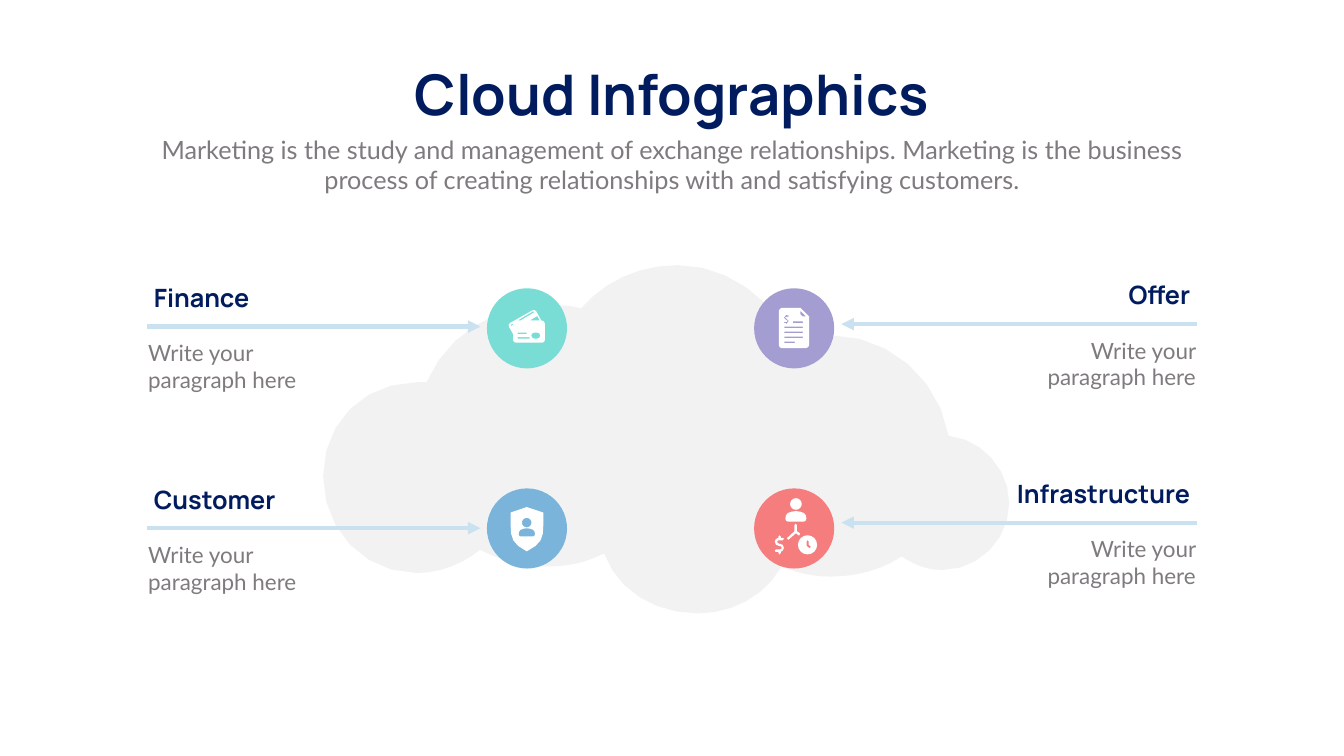
import dataclasses
import math

import pptx
import pptx.dml.color
import pptx.enum.shapes
import pptx.enum.text
import pptx.oxml
import pptx.oxml.ns
import pptx.util

ALIGN = pptx.enum.text.PP_ALIGN
THEME = {
    "title": {"name": "Manrope", "size": pptx.util.Pt(80), "bold": True, "color": "001C5E"},
    "subtitle": {"name": "Lato", "size": pptx.util.Pt(36), "color": "7F7A7E"},
    "heading": {"name": "Manrope", "size": pptx.util.Pt(36), "bold": True, "color": "001C5E"},
    "body": {"name": "Lato", "size": pptx.util.Pt(32), "color": "7F7A7E"},
    "cloud": "F2F2F2",
    "arrow": "CAE1F0",
    "icon": "FFFFFF",
}
SLIDE_WIDTH, SLIDE_HEIGHT = pptx.util.Inches(26.66), pptx.util.Inches(15)
COLUMN, ROW = SLIDE_WIDTH / 100, SLIDE_HEIGHT / 100
HEADING_ROWS, BODY_ROWS, ARROW_ROW, BODY_ROW = 4.73, 7.87, 6.2, 7.53
BODY_COLUMNS, HEADING_INSET, BODY_INSET = 12.94, 0.13, -0.3
DISC_COLUMNS, DISC_ROWS = 5.96, 10.6
DISC_GRID = (159, 159)
CLOUD_GRID = (1360, 690)

CLOUD = (
    "M 1240 338 C 1221 225 1121 139 1008 139 C 975 139 949 146 929 152 C 889 66 802 0 703 0 "
    "C 624 0 557 33 511 86 C 491 79 464 79 444 79 C 338 79 245 139 205 232 L 186 232 "
    "C 80 232 0 312 0 418 C 0 524 80 610 186 610 C 232 610 278 591 311 564 "
    "C 352 584 391 597 444 597 C 484 597 517 591 557 571 C 583 644 657 690 743 690 "
    "C 809 690 875 657 909 597 C 942 610 968 617 1008 617 C 1055 617 1107 604 1147 577 "
    "C 1168 591 1194 604 1227 604 C 1300 604 1360 544 1360 471 C 1360 405 1307 345 1240 338"
)
CARDS = (
    "M 108 64 L 98 46 C 96 43 93 42 90 44 L 46 69 C 43 71 42 74 44 77 L 52 91 L 52 103 "
    "C 52 106 55 108 58 108 L 109 108 C 112 108 115 106 115 103 L 115 70 C 115 66 112 64 108 64"
)
CARD_GAPS = (
    "M 52 70 L 52 72 L 47 76 L 48 72",
    "M 100 55 L 105 64 L 85 64",
    "M 91 46 L 95 47 L 67 64 L 61 64",
)
CARD_CHIP = (
    "M 94 88 C 91 88 88 90 88 94 C 88 97 91 100 94 100 L 100 100 "
    "C 103 100 106 97 106 94 C 106 90 103 88 100 88"
)
SHIELD = "M 112 48 L 79 37 L 47 48 L 47 72 C 47 100 51 110 79 125 C 108 110 112 100 112 72"
SHOULDERS = (
    "M 99 66 C 101 66 104 63 104 60 C 104 55 102 51 99 49 C 95 47 89 45 83 45 "
    "C 76 45 71 47 67 49 C 64 51 62 55 62 60 C 62 63 64 66 67 66"
)
PAGE = (
    "M 109 56 L 92 39 L 55 39 C 52 39 49 42 49 46 L 49 113 C 49 116 52 119 55 119 "
    "L 102 119 C 106 119 109 116 109 113"
)
PAGE_FOLD = "M 96 56 L 92 52 L 92 45 L 103 56"
FORK = (
    "M 90 93 L 91 89 L 85 85 L 85 73 C 85 69 80 69 80 73 "
    "L 80 85 L 65 99 L 68 102 L 83 89 L 88 93"
)
DOLLAR = (
    "M 49 103 L 57 103 L 59 100 L 57 98 L 53 98 L 53 96 C 53 92 48 92 48 96 L 48 98 "
    "C 44 99 41 102 41 106 C 41 111 45 114 49 114 C 53 114 55 116 55 118 "
    "C 55 120 53 121 51 121 L 43 121 L 41 124 L 43 126 L 48 126 L 48 128 "
    "C 48 132 53 132 53 128 L 53 126 C 56 125 59 122 59 118 C 59 113 56 110 51 110 "
    "C 47 110 46 108 46 106 C 46 104 47 103 49 103"
)
CLOCK_HANDS = "M 110 119 L 104 114 L 104 105 C 104 102 108 102 108 105 L 108 111 L 113 116"


@dataclasses.dataclass
class Box:
    """An area of the slide in columns and rows."""

    left: float
    top: float
    width: float
    height: float

    def emu(self):
        """Return left, top, width and height in EMU."""
        return [round(length * unit) for length, unit in zip(
            (self.left, self.top, self.width, self.height), (COLUMN, ROW, COLUMN, ROW))]


def outline(path, steps=2, scale=1, left=0, top=0):
    """Turn a path of moves, lines and cubic curves into points."""
    points = []
    for command in path.replace("M", "|").replace("L", "|").replace("C", "|").split("|")[1:]:
        values = [float(value) for value in command.split()]
        ends = list(zip(values[::2], values[1::2]))
        if len(ends) == 1:
            points += ends
            continue
        controls = [points[-1]] + ends
        for step in range(1, steps + 1):
            t = step / steps
            weights = [math.comb(3, i) * t ** i * (1 - t) ** (3 - i) for i in range(4)]
            points.append(tuple(sum(weight * control[axis] for weight, control
                                    in zip(weights, controls)) for axis in (0, 1)))
    return [(x * scale + left, y * scale + top) for x, y in points]


def circle(x, y, radius):
    """Return the points of a circle."""
    angles = [math.tau * step / 16 for step in range(16)]
    return [(x + radius * math.cos(angle), y + radius * math.sin(angle)) for angle in angles]


def strip(left, top, width, height=3):
    """Return the corners of a thin bar."""
    return [(left, top), (left + width, top), (left + width, top + height), (left, top + height)]


def paint(shape, color):
    """Give a shape a plain fill without line or shadow."""
    shape.shadow.inherit = False
    shape.fill.solid()
    shape.fill.fore_color.rgb = pptx.dml.color.RGBColor.from_string(color)
    shape.line.fill.background()


def draw_outline(slide, box, grid, contours, color):
    """Draw contours, given on a grid laid over the box, as one shape."""
    left, top, width, height = box.emu()
    placed = [[(round(left + x / grid[0] * width), round(top + y / grid[1] * height))
               for x, y in contour] for contour in contours]
    builder = slide.shapes.build_freeform(*placed[0][0])
    for index, contour in enumerate(placed):
        if index:
            builder.move_to(*contour[0])
        builder.add_line_segments(contour[1:], close=True)
    paint(builder.convert_to_shape(), color)


def write(shape, box, text, style, alignment, wrap=True):
    """Place a text shape and fill it with one formatted paragraph."""
    shape.left, shape.top, shape.width, shape.height = box.emu()
    frame = shape.text_frame
    frame.text = text
    for name, value in {"word_wrap": wrap, "vertical_anchor": pptx.enum.text.MSO_ANCHOR.TOP,
                        "auto_size": pptx.enum.text.MSO_AUTO_SIZE.SHAPE_TO_FIT_TEXT}.items():
        setattr(frame, name, value)
    paragraph = frame.paragraphs[0]
    paragraph.alignment = alignment
    paragraph.space_before = pptx.util.Pt(0)
    for name, value in THEME[style].items():
        if name == "color":
            paragraph.runs[0].font.color.rgb = pptx.dml.color.RGBColor.from_string(value)
        else:
            setattr(paragraph.runs[0].font, name, value)


def add_header(slide, box):
    """Fill the title and subtitle placeholders within the box."""
    title, subtitle = slide.placeholders
    title_box = Box(box.left + box.width * 0.23, box.top, box.width * 0.54, 9.67)
    write(title, title_box, "Cloud Infographics", "title", ALIGN.CENTER, wrap=False)
    write(subtitle, Box(box.left, box.top + 9.8, box.width, 8.73),
          "Marketing is the study and management of exchange relationships. Marketing is the "
          "business process of creating relationships with and satisfying customers.",
          "subtitle", ALIGN.CENTER)


def add_arrow(slide, box, mirrored):
    """Draw the arrow of a callout, pointing to the middle of the slide."""
    left, top, width, _ = box.emu()
    start, end = (left + width, left) if mirrored else (left, left + width)
    level = top + round(ARROW_ROW * ROW)
    arrow = slide.shapes.add_connector(
        pptx.enum.shapes.MSO_CONNECTOR.STRAIGHT, start, level, end, level)
    arrow.line.color.rgb = pptx.dml.color.RGBColor.from_string(THEME["arrow"])
    arrow.line.width = pptx.util.Pt(6)
    head = pptx.oxml.parse_xml(f'<a:tailEnd {pptx.oxml.ns.nsdecls("a")} type="triangle"/>')
    arrow.line._get_or_add_ln().append(head)
    properties = arrow._element.spPr
    properties.append(pptx.oxml.parse_xml(f'<a:effectLst {pptx.oxml.ns.nsdecls("a")}/>'))


def add_callout(slide, box, heading, heading_columns, mirrored):
    """Place arrow, heading and text of one callout within the box."""
    add_arrow(slide, box, mirrored)
    parts = (
        (heading, "heading", HEADING_INSET, 0, heading_columns, HEADING_ROWS),
        ("Write your paragraph here", "body", BODY_INSET, BODY_ROW, BODY_COLUMNS, BODY_ROWS),
    )
    for text, style, inset, row, columns, rows in parts:
        left = box.left + (box.width - inset - columns if mirrored else inset)
        shape = slide.shapes.add_textbox(0, 0, 0, 0)
        write(shape, Box(left, box.top + row, columns, rows), text, style,
              ALIGN.RIGHT if mirrored else ALIGN.LEFT)


def add_disc(slide, box, color, icon):
    """Draw a coloured disc with its icon."""
    paint(slide.shapes.add_shape(pptx.enum.shapes.MSO_SHAPE.OVAL, *box.emu()), color)
    for contours in icon:
        draw_outline(slide, box, DISC_GRID, contours, THEME["icon"])


def main():
    """Build the cloud slide and save it."""
    presentation = pptx.Presentation()
    presentation.slide_width, presentation.slide_height = SLIDE_WIDTH, SLIDE_HEIGHT
    slide = presentation.slides.add_slide(presentation.slide_layouts[0])
    add_header(slide, Box(10.95, 7.6, 78.09, 18.53))
    draw_outline(slide, Box(24.04, 35.07, 51.05, 46.07), CLOUD_GRID,
                 [outline(CLOUD, steps=6)], THEME["cloud"])

    cards = [[outline(path) for path in (CARDS, *CARD_GAPS, CARD_CHIP)]
             + [strip(61, 88, 18), strip(61, 97, 24)]]
    shield = [[outline(SHIELD, steps=4), circle(79, 68, 9.5),
               outline(SHOULDERS, scale=0.78, left=14.5, top=44)]]
    page = [[outline(PAGE), outline(PAGE_FOLD), outline(DOLLAR, steps=1, scale=0.55, left=36.5),
             strip(77, 66, 20), *(strip(60, top, 37) for top in (76, 86, 96)), strip(60, 106, 21)]]
    network = [[circle(83, 31, 11.5)], [outline(SHOULDERS)], [outline(FORK)], [outline(DOLLAR)],
               [circle(106, 112, 19), outline(CLOCK_HANDS)]]
    callouts = (
        ("Finance", 12.12, 0, 0, 37, "7ADDD5", cards),
        ("Customer", 12.12, 0, 1, 63.67, "7BB4DA", shield),
        ("Offer", 12.12, 1, 0, 36.67, "A49DD2", page),
        ("Infrastructure", 16.05, 1, 1, 62.93, "F57D7D", network),
    )
    for heading, columns, side, level, top, color, icon in callouts:
        left, width = ((10.95, 24.8), (62.6, 26.45))[side]
        add_callout(slide, Box(left, top, width, 15.4), heading, columns, bool(side))
        disc = Box(36.23 + side * 19.88, 38.13 + level * 26.47, DISC_COLUMNS, DISC_ROWS)
        add_disc(slide, disc, color, icon)
    presentation.save("out.pptx")


if __name__ == "__main__":
    main()
